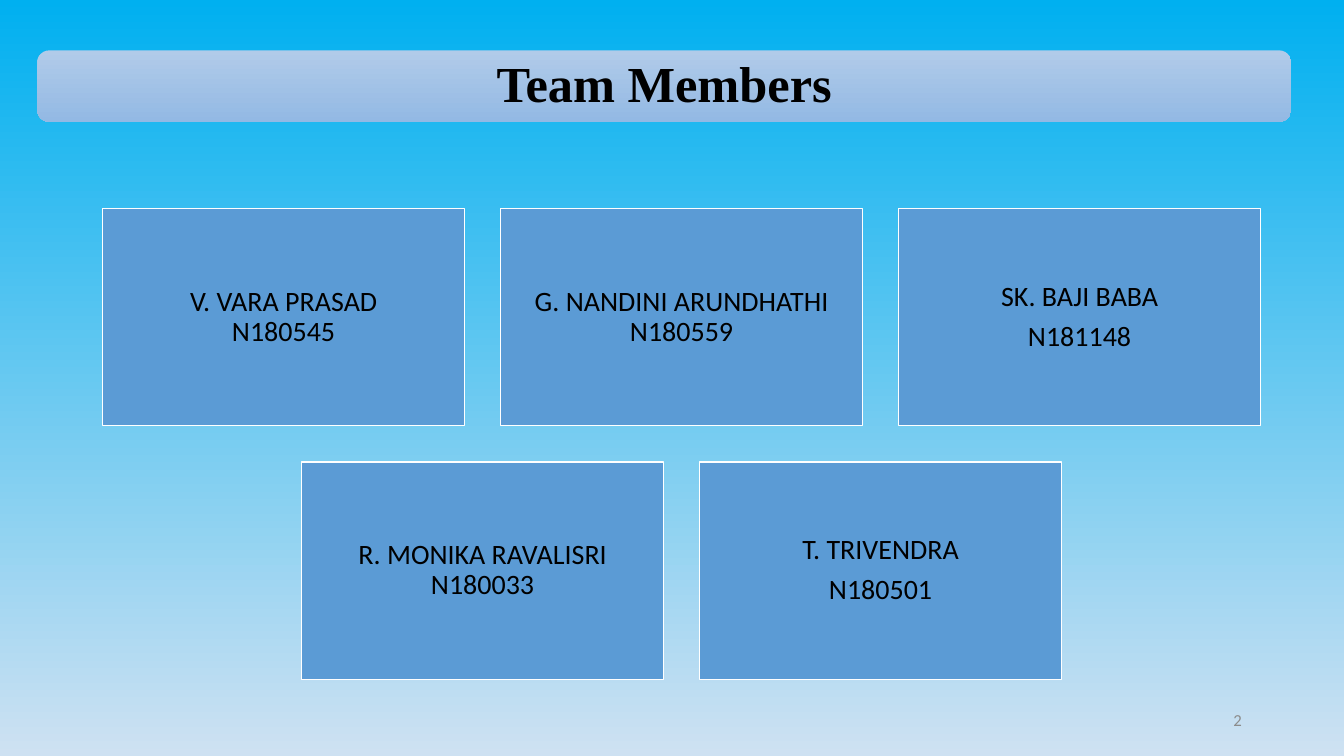
from dataclasses import dataclass

from pptx import Presentation
from pptx.dml.color import RGBColor
from pptx.enum.shapes import MSO_SHAPE as Shape
from pptx.enum.text import MSO_ANCHOR as Anchor, MSO_AUTO_SIZE as AutoSize, PP_ALIGN as Align
from pptx.util import Cm, Pt


@dataclass(frozen=True)
class Theme:
    sky: tuple = ("00B0F0", "CEE1F2")
    bar: tuple = ("B1CBE9", "93B9E4")
    card: str = "5B9BD5"
    border: str = "FFFFFF"
    ink: str = "000000"
    muted: str = "8C8C8C"
    heading_font: str = "Times New Roman"
    body_font: str = "Calibri"
    title_size: int = 36
    card_size: int = 20
    number_size: int = 12


theme = Theme()


def fill_downwards(fill, colors):
    fill.gradient()
    fill.gradient_angle = 270
    for stop, color in zip(fill.gradient_stops, colors):
        stop.color.rgb = RGBColor.from_string(color)


def write(shape, text, font, size, color, align=Align.CENTER, bold=False, after=0, inset=0.2):
    frame = shape.text_frame
    frame.text = text
    frame.word_wrap = True
    frame.auto_size = AutoSize.NONE
    frame.vertical_anchor = Anchor.MIDDLE
    frame.margin_left = frame.margin_right = Cm(inset)
    frame.margin_top = frame.margin_bottom = Cm(inset)
    for para in frame.paragraphs:
        para.alignment = align
        para.line_spacing = 0.9
        para.space_after = Pt(after)
        for span in para.runs:
            span.font.name = font
            span.font.size = Pt(size)
            span.font.bold = bold
            span.font.color.rgb = RGBColor.from_string(color)


# Slide and background
deck = Presentation()
deck.slide_width, deck.slide_height = Cm(33.87), Cm(19.05)
page = deck.slides.add_slide(deck.slide_layouts[5])
fill_downwards(page.background.fill, theme.sky)

# Title on a rounded bar, with the bar sent behind the placeholder
bar = page.shapes.add_shape(Shape.ROUNDED_RECTANGLE, Cm(0.94), Cm(1.27), Cm(31.6), Cm(1.8))
bar.shadow.inherit = False
bar.line.fill.background()
fill_downwards(bar.fill, theme.bar)
title = page.shapes.title
title.left, title.top, title.width, title.height = bar.left, bar.top, bar.width, bar.height
write(title, "Team Members", theme.heading_font, theme.title_size, theme.ink, bold=True)
title._element.addprevious(bar._element)

# Member cards: each row is centred on the same axis
rows = [
    ["V. VARA PRASAD\vN180545", "G. NANDINI ARUNDHATHI N180559", "SK. BAJI BABA\nN181148"],
    ["R. MONIKA RAVALISRI N180033", "T. TRIVENDRA\nN180501"],
]
card_width, card_height, gap = 9.12, 5.48, 0.91
axis, first_top = 17.18, 5.25
for row, members in enumerate(rows):
    row_width = len(members) * (card_width + gap) - gap
    for column, member in enumerate(members):
        left = axis - row_width / 2 + column * (card_width + gap)
        top = first_top + row * (card_height + gap)
        card = page.shapes.add_shape(
            Shape.RECTANGLE, Cm(left), Cm(top), Cm(card_width), Cm(card_height))
        card.shadow.inherit = False
        card.fill.solid()
        card.fill.fore_color.rgb = RGBColor.from_string(theme.card)
        card.line.color.rgb = RGBColor.from_string(theme.border)
        card.line.width = Pt(1)
        write(card, member, theme.body_font, theme.card_size, theme.ink, after=7)

# Slide number
number = page.shapes.add_textbox(Cm(23.93), Cm(17.65), Cm(7.62), Cm(1.02))
write(number, "2", theme.body_font, theme.number_size, theme.muted, align=Align.RIGHT, inset=0.25)

deck.save("out.pptx")
